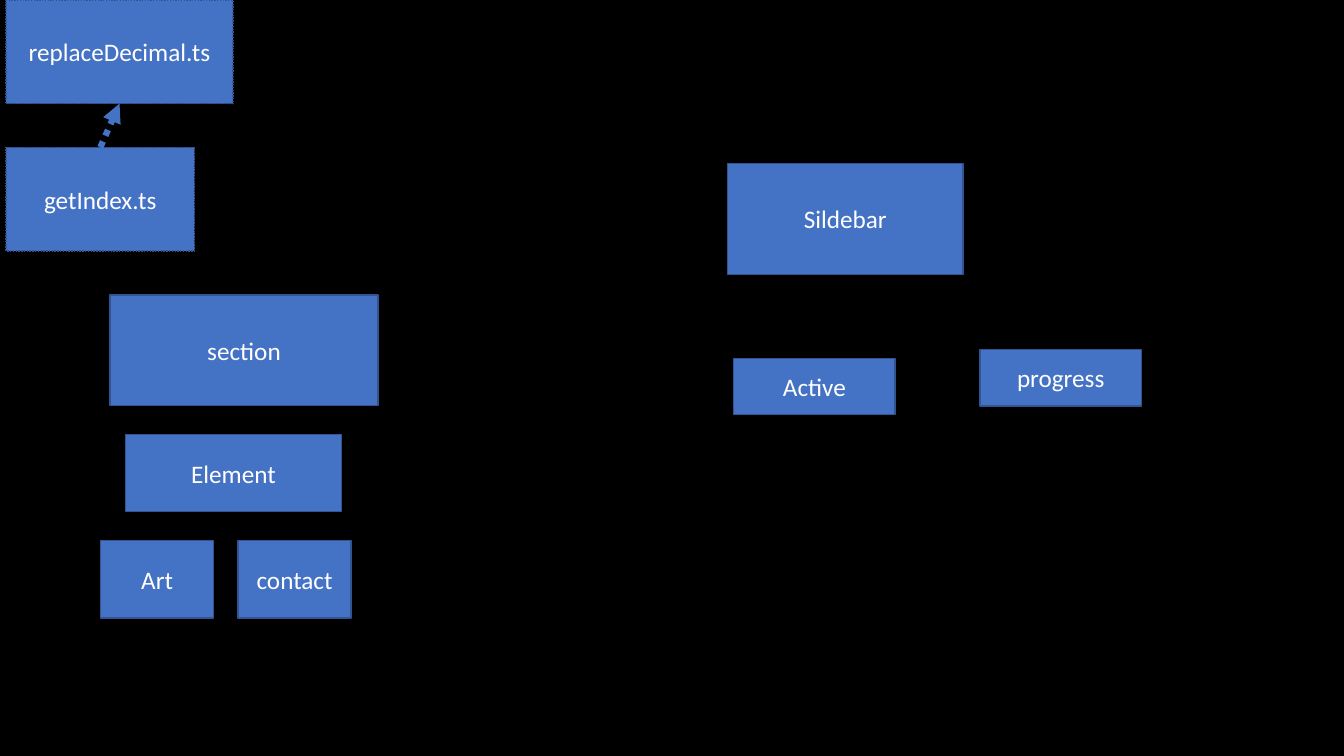
import pptx
import pptx.dml.color
import pptx.enum.dml
import pptx.enum.shapes
import pptx.enum.text
import pptx.oxml
import pptx.oxml.ns
import pptx.util

Pt = pptx.util.Pt
DOTTED = pptx.enum.dml.MSO_LINE.ROUND_DOT


def color(value):
    return pptx.dml.color.RGBColor.from_string(value)


def apply(target, formats):
    for name, value in formats.items():
        setattr(target, name, value)


class Diagram:
    """Draws boxes and arrows in one style on the current page."""

    blue, edge, white, black = "4472C4", "325491", "FFFFFF", "000000"
    font = {"name": "Calibri", "size": Pt(18)}
    frame = {"word_wrap": True,
             "vertical_anchor": pptx.enum.text.MSO_ANCHOR.MIDDLE}

    def __init__(self, page):
        self.page = page
        page.background.fill.solid()
        page.background.fill.fore_color.rgb = color(self.black)

    def stroke(self, line, value, formats):
        line.color.rgb = color(value)
        apply(line, formats)

    def box(self, label, left, top, width, height, **line):
        box = self.page.shapes.add_shape(
            pptx.enum.shapes.MSO_SHAPE.RECTANGLE,
            Pt(left), Pt(top), Pt(width), Pt(height))
        box.shadow.inherit = False
        box.fill.solid()
        box.fill.fore_color.rgb = color(self.blue)
        self.stroke(box.line, self.edge, {"width": Pt(1), **line})
        apply(box.text_frame, self.frame)
        para = box.text_frame.paragraphs[0]
        para.alignment = pptx.enum.text.PP_ALIGN.CENTER
        span = para.add_run()
        span.text = label
        apply(span.font, self.font)
        span.font.color.rgb = color(self.white)

    def arrow(self, start, end, **line):
        arrow = self.page.shapes.add_connector(
            pptx.enum.shapes.MSO_CONNECTOR.STRAIGHT,
            *(Pt(length) for length in (*start, *end)))
        self.stroke(arrow.line, self.blue, line)
        head = pptx.oxml.parse_xml(
            f'<a:tailEnd {pptx.oxml.ns.nsdecls("a")} type="triangle"/>')
        arrow.line._get_or_add_ln().append(head)
        properties = arrow._element.spPr
        properties.append(pptx.oxml.parse_xml(
            f'<a:effectLst {pptx.oxml.ns.nsdecls("a")}/>'))


deck = pptx.Presentation()
apply(deck, {"slide_width": Pt(960), "slide_height": Pt(540)})
diagram = Diagram(deck.slides.add_slide(deck.slide_layouts[6]))

diagram.box("getIndex.ts", 4.4, 105.2, 134.6, 74, dash_style=DOTTED)
diagram.arrow((71.7, 105.2), (85.4, 74), width=Pt(4.5), dash_style=DOTTED)
diagram.box("replaceDecimal.ts", 4.4, 0, 162, 74, dash_style=DOTTED)

diagram.box("Sildebar", 519.8, 116.8, 168, 79.2)
diagram.box("section", 78.5, 210.6, 191.6, 79.2)
for label, left, top in (("Active", 524, 256), ("progress", 700, 249.8)):
    diagram.box(label, left, top, 115.4, 40.2)

diagram.box("Element", 89.8, 310.2, 154, 55.4)
for column, label in enumerate(("Art", "contact")):
    diagram.box(label, 71.8 + 98.2 * column, 386.2, 80.9, 55.4)

deck.save("out.pptx")
